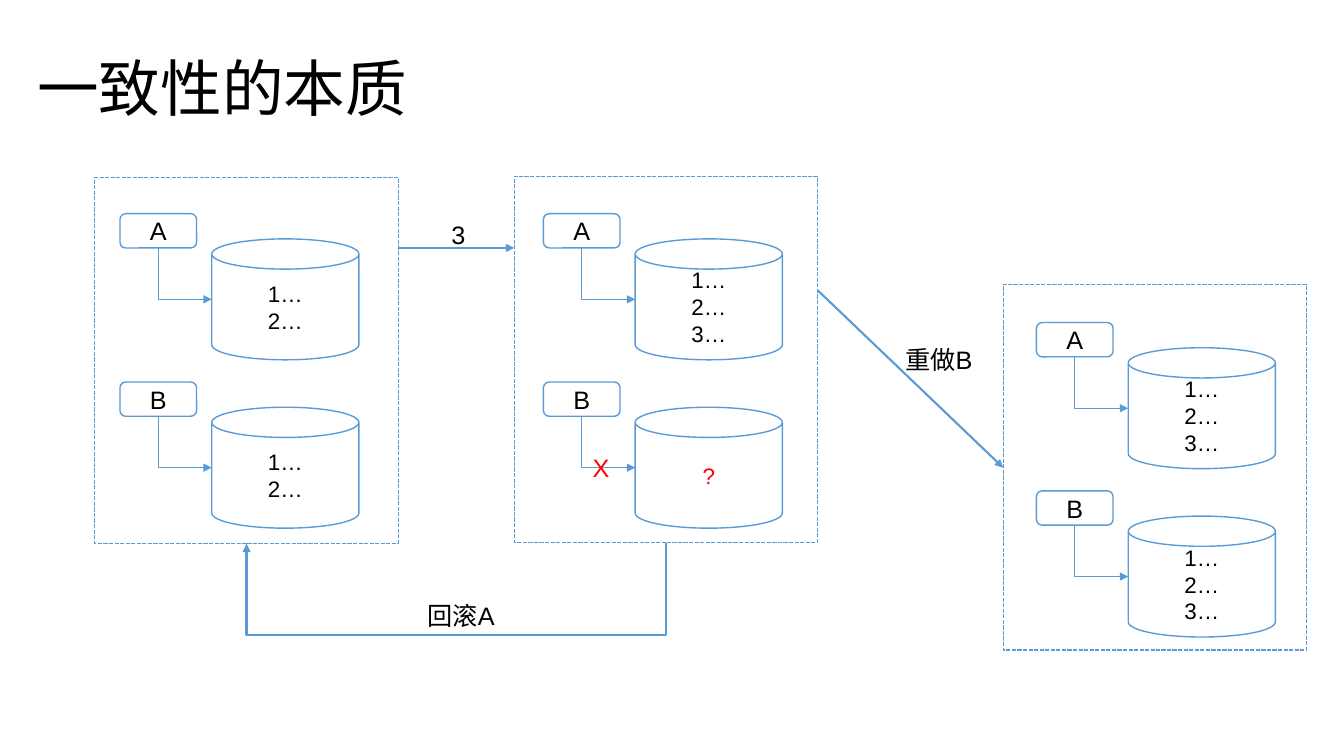
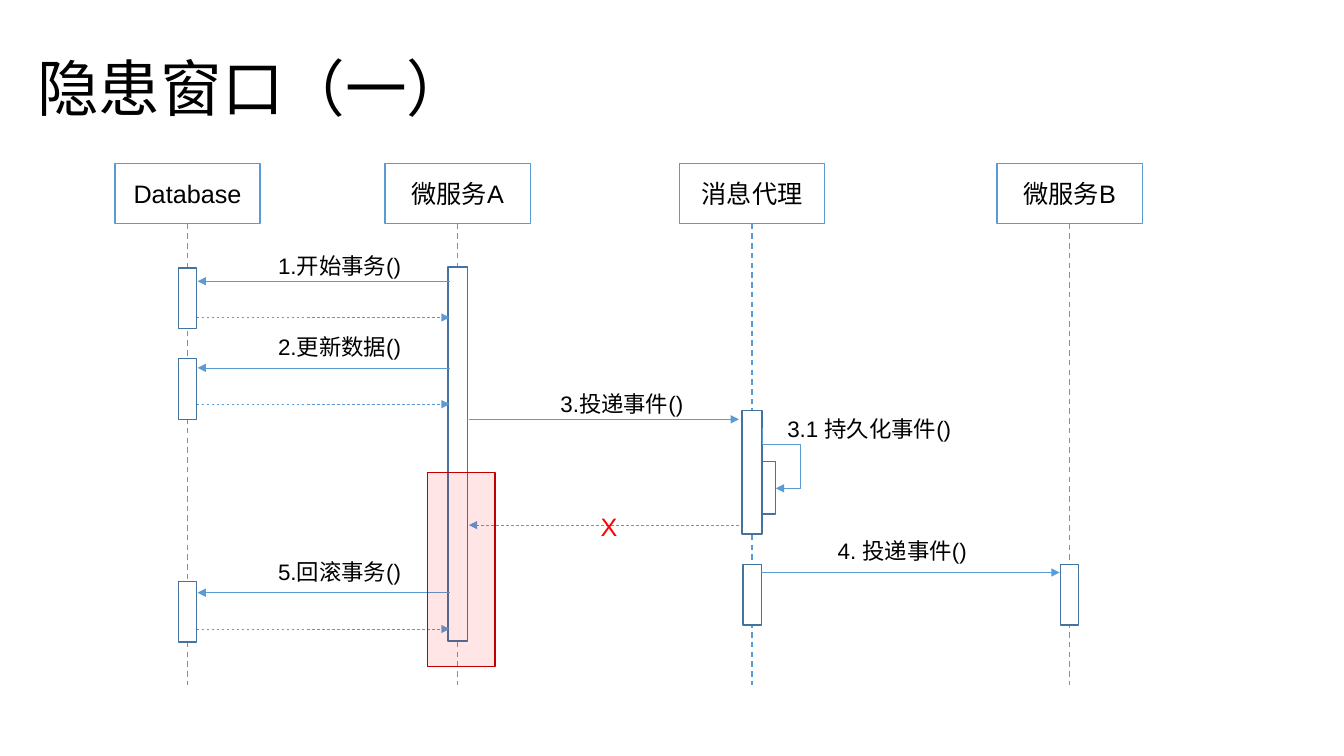
from lxml.etree import SubElement
from pptx import Presentation
from pptx.dml.color import RGBColor
from pptx.enum.dml import MSO_LINE
from pptx.enum.shapes import MSO_CONNECTOR, MSO_SHAPE
from pptx.enum.text import MSO_ANCHOR, PP_ALIGN
from pptx.oxml.ns import qn
from pptx.util import Inches, Pt

COLORS = {
    "paper": "FFFFFF",
    "ink": "000000",
    "line": "5B9BD5",
    "bar": "43739E",
    "alert": "FF0000",
    "alert_edge": "C00000",
}
TITLE_FONT, BODY_FONT = "Montserrat", "Arial"


def rgb(name):
    return RGBColor.from_string(COLORS[name])


def add_run(paragraph, text, size, color="ink", font=BODY_FONT):
    run = paragraph.add_run()
    run.text = text
    run.font.size = Pt(size)
    run.font.name = font
    run.font.color.rgb = rgb(color)


def add_titled_slide(deck, text):
    slide = deck.slides.add_slide(deck.slide_layouts[5])
    title = slide.shapes.title
    title.left, title.top = Inches(0.27), Inches(0.53)
    title.width, title.height = Inches(6.07), Inches(0.76)
    title.text_frame.vertical_anchor = MSO_ANCHOR.MIDDLE
    paragraph = title.text_frame.paragraphs[0]
    paragraph.alignment = PP_ALIGN.LEFT
    paragraph.line_spacing = 0.9
    add_run(paragraph, text, 44, font=TITLE_FONT)
    return slide


def add_node(slide, preset, box, lines=(), size=18, color="ink",
             fill="paper", edge="line", dash=None):
    """Outlined shape with one centred paragraph per line."""
    node = slide.shapes.add_shape(preset, *map(Inches, box))
    node.shadow.inherit = False
    node.fill.solid()
    node.fill.fore_color.rgb = rgb(fill)
    node.line.color.rgb = rgb(edge)
    node.line.width = Pt(1)
    if dash:
        node.line.dash_style = dash
    frame = node.text_frame
    frame.word_wrap = True
    frame.vertical_anchor = MSO_ANCHOR.MIDDLE
    for index, line in enumerate(lines):
        paragraph = frame.add_paragraph() if index else frame.paragraphs[0]
        paragraph.alignment = PP_ALIGN.CENTER
        add_run(paragraph, line, size, color)
    return node


def add_label(slide, box, text, size=18, color="ink"):
    frame = slide.shapes.add_textbox(*map(Inches, box)).text_frame
    frame.word_wrap = True
    add_run(frame.paragraphs[0], text, size, color)


def add_line(slide, start, end, width=1.0, dash=None, arrow=True,
             kind=MSO_CONNECTOR.STRAIGHT):
    line = slide.shapes.add_connector(kind, *map(Inches, (*start, *end)))
    line.line.color.rgb = rgb("line")
    line.line.width = Pt(width)
    if dash:
        line.line.dash_style = dash
    properties = line._element.spPr
    if arrow:
        SubElement(properties.find(qn("a:ln")), qn("a:tailEnd"), type="triangle")
    SubElement(properties, qn("a:effectLst"))
    return line


def add_elbow(slide, box, preset, rotation, flip=False, bends=(), width=1.0):
    """Bent arrow; box is its frame before rotation, bends are fractions of it."""
    left, top, across, down = box
    elbow = add_line(slide, (left, top), (left + across, top + down), width,
                     kind=MSO_CONNECTOR.ELBOW)
    properties = elbow._element.spPr
    frame = properties.find(qn("a:xfrm"))
    frame.set("rot", str(rotation * 60000))
    if flip:
        frame.set("flipH", "1")
    geometry = properties.find(qn("a:prstGeom"))
    geometry.set("prst", preset)
    for child in list(geometry):
        geometry.remove(child)
    guides = SubElement(geometry, qn("a:avLst"))
    for number, bend in enumerate(bends, 1):
        SubElement(guides, qn("a:gd"), name=f"adj{number}",
                   fmla=f"val {round(bend * 100000)}")


def add_store(slide, left, top, service, records, color="ink"):
    """Service label with an arrow to its database."""
    add_node(slide, MSO_SHAPE.ROUNDED_RECTANGLE, (left, top, 0.76, 0.34), [service])
    add_node(slide, MSO_SHAPE.CAN, (left + 0.91, top + 0.25, 1.46, 1.2),
             records, 16, color)
    add_elbow(slide, (left + 0.39, top + 0.33, 0.51, 0.53),
              "bentConnector2", 270, flip=True)


def add_state(slide, left, top, inset, stores):
    """Dashed system state; inset is the place of its first store."""
    add_node(slide, MSO_SHAPE.RECTANGLE, (left, top, 3.01, 3.63),
             dash=MSO_LINE.SQUARE_DOT)
    for row, (service, records, color) in enumerate(stores):
        add_store(slide, left + inset[0], top + inset[1] + row * 1.67,
                  service, records, color)


def build_consistency(deck):
    slide = add_titled_slide(deck, "一致性的本质")
    before, after = ["1…", "2…"], ["1…", "2…", "3…"]
    add_state(slide, 0.94, 1.76, (0.25, 0.36),
              [("A", before, "ink"), ("B", before, "ink")])
    add_state(slide, 5.1, 1.75, (0.29, 0.37),
              [("A", after, "ink"), ("B", ["?"], "alert")])
    add_state(slide, 9.95, 2.82, (0.33, 0.38),
              [("A", after, "ink"), ("B", after, "ink")])
    add_label(slide, (5.78, 4.44, 0.37, 0.4), "X", color="alert")

    add_line(slide, (3.95, 2.46), (5.1, 2.46), 1.5)
    add_label(slide, (4.38, 2.13, 0.34, 0.4), "3")
    add_elbow(slide, (4.52, 3.31, 0.01, 4.16), "bentConnector3", 90,
              bends=[93], width=1.5)
    add_label(slide, (4.14, 5.91, 0.88, 0.4), "回滚A")
    add_line(slide, (8.11, 2.88), (9.95, 4.64), 1.5)
    add_label(slide, (8.88, 3.37, 0.88, 0.4), "重做B")


def add_lane(slide, center, name):
    add_node(slide, MSO_SHAPE.RECTANGLE, (center - 0.72, 1.62, 1.44, 0.6), [name])
    add_line(slide, (center, 2.22), (center, 6.8), dash=MSO_LINE.DASH, arrow=False)


def add_activation(slide, center, top, width=0.18, height=0.6):
    add_node(slide, MSO_SHAPE.RECTANGLE,
             (center - width / 2, top, width, height), edge="bar")


def add_message(slide, start, end, y, dash=None):
    add_line(slide, (start, y), (end, y), 0.5, dash)


def add_exchange(slide, y, text, label_top):
    """Call from service A to the database, and its reply."""
    add_message(slide, 4.46, 1.96, y)
    add_message(slide, 1.95, 4.46, y + 0.36, MSO_LINE.DASH)
    add_label(slide, (2.66, label_top, 1.44, 0.37), text, 16)


def add_risk_window(slide, box):
    window = add_node(slide, MSO_SHAPE.RECTANGLE, box,
                      fill="alert", edge="alert_edge")
    tint = window._element.spPr.find(qn("a:solidFill")).find(qn("a:srgbClr"))
    SubElement(tint, qn("a:alpha"), val="10000")


def build_risk_sequence(deck):
    slide = add_titled_slide(deck, "隐患窗口（一）")
    database, service_a, broker, service_b = 1.86, 4.54, 7.46, 10.61
    for center, name in [(database, "Database"), (service_a, "微服务A"),
                         (broker, "消息代理"), (service_b, "微服务B")]:
        add_lane(slide, center, name)

    for top in (2.66, 3.56, 5.77):
        add_activation(slide, database, top)
    add_activation(slide, service_a, 2.65, 0.19, 3.71)
    add_activation(slide, broker, 4.07, 0.2, 1.23)
    add_activation(slide, broker + 0.165, 4.58, 0.13, 0.52)
    for center in (broker, service_b):
        add_activation(slide, center, 5.6)

    for y, text, label_top in [(2.79, "1.开始事务()", 2.45),
                               (3.65, "2.更新数据()", 3.26),
                               (5.88, "5.回滚事务()", 5.49)]:
        add_exchange(slide, y, text, label_top)

    add_message(slide, 4.65, 7.33, 4.16)
    add_label(slide, (5.46, 3.82, 1.44, 0.37), "3.投递事件()", 16)
    add_elbow(slide, (7.33, 4.48, 0.6, 0.13), "bentConnector4", 270, flip=True,
              bends=[0.28, 2.86], width=0.5)
    add_label(slide, (7.71, 4.07, 1.89, 0.37), "3.1 持久化事件()", 16)
    add_message(slide, 7.55, 10.51, 5.68)
    add_label(slide, (8.21, 5.28, 1.5, 0.37), "4. 投递事件()", 16)
    add_message(slide, 7.33, 4.65, 5.21, MSO_LINE.DASH)
    add_label(slide, (5.86, 5.02, 0.37, 0.4), "X", color="alert")
    add_risk_window(slide, (4.24, 4.69, 0.67, 1.92))


def main():
    deck = Presentation()
    deck.slide_width, deck.slide_height = Inches(13.33), Inches(7.5)
    build_consistency(deck)
    build_risk_sequence(deck)
    deck.save("out.pptx")


if __name__ == "__main__":
    main()
